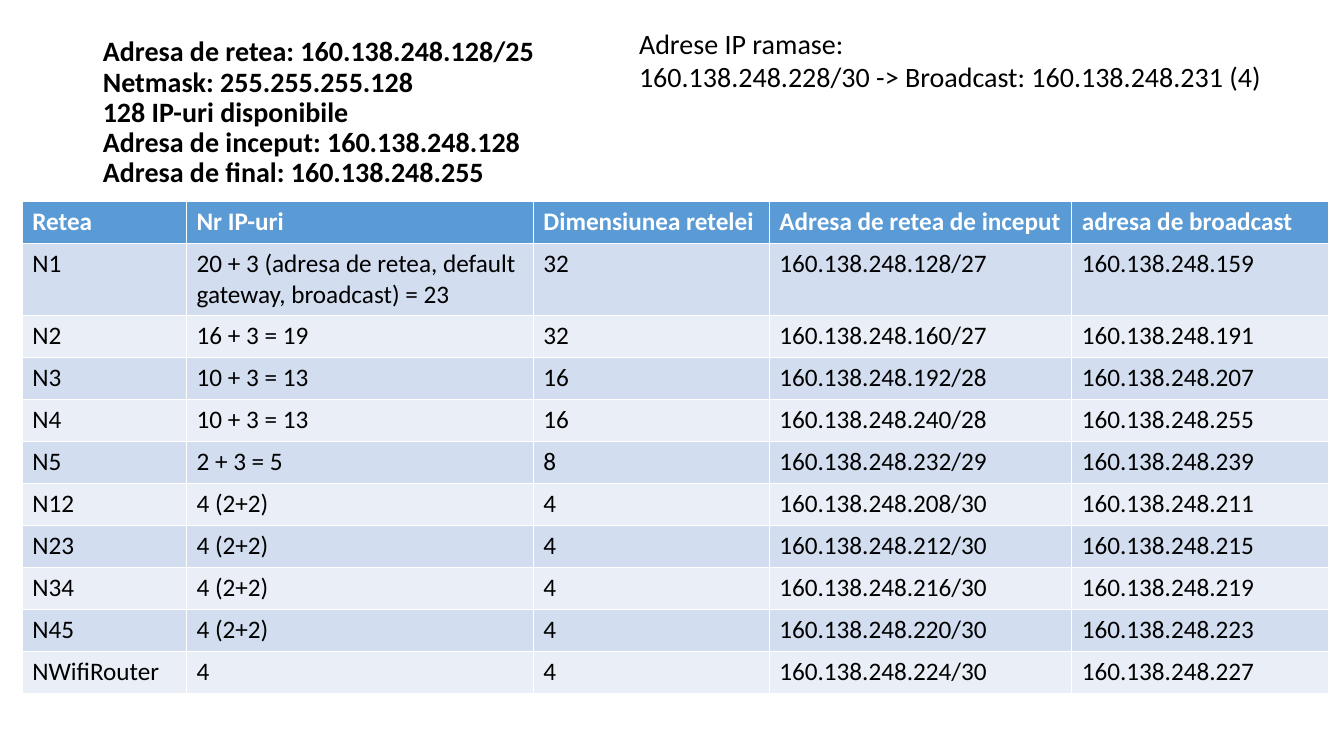
from pptx import Presentation
from pptx.dml.color import RGBColor
from pptx.enum.text import MSO_ANCHOR, MSO_AUTO_SIZE, PP_ALIGN
from pptx.util import Inches, Pt

TITLE_LINES = [
    "Adresa de retea: 160.138.248.128/25",
    "Netmask: 255.255.255.128",
    "128 IP-uri disponibile",
    "Adresa de inceput: 160.138.248.128",
    "Adresa de final: 160.138.248.255",
]
REMAINING_LINES = [
    "Adrese IP ramase:",
    "160.138.248.228/30 -> Broadcast: 160.138.248.231 (4)",
]
HEADINGS = ["Retea", "Nr IP-uri", "Dimensiunea retelei",
            "Adresa de retea de inceput", "adresa de broadcast"]
# Name, needed addresses, block size, first and last host number, prefix
NETWORKS = [
    ("N1", "20 + 3 (adresa de retea, default gateway, broadcast) = 23", 32, 128, 159, 27),
    ("N2", "16 + 3 = 19", 32, 160, 191, 27),
    ("N3", "10 + 3 = 13", 16, 192, 207, 28),
    ("N4", "10 + 3 = 13", 16, 240, 255, 28),
    ("N5", "2 + 3 = 5", 8, 232, 239, 29),
    ("N12", "4 (2+2)", 4, 208, 211, 30),
    ("N23", "4 (2+2)", 4, 212, 215, 30),
    ("N34", "4 (2+2)", 4, 216, 219, 30),
    ("N45", "4 (2+2)", 4, 220, 223, 30),
    ("NWifiRouter", "4", 4, 224, 227, 30),
]
COLUMN_SHARES = [12.23, 25.81, 17.55, 22.51, 19.13]
ROW_SHARE = 5.56


def color(hex_string):
    return RGBColor.from_string(hex_string)


class AddressPage:
    """Holds the style and the slide; lengths are percent of the slide's size."""

    font_name = "Calibri"
    ink, paper = "000000", "FFFFFF"
    header_fill = "5B9BD5"
    band_fills = ["D2DEEF", "EAEFF7"]

    def __init__(self, deck):
        self.deck = deck
        self.page = deck.slides.add_slide(deck.slide_layouts[5])

    def across(self, share):
        return round(self.deck.slide_width * share / 100)

    def down(self, share):
        return round(self.deck.slide_height * share / 100)

    def area(self, left, top, width, height):
        return self.across(left), self.down(top), self.across(width), self.down(height)

    def style(self, para, size, ink=ink, bold=False):
        para.alignment = PP_ALIGN.LEFT
        para.font.name = self.font_name
        para.font.size = Pt(size)
        para.font.bold = bold
        para.font.color.rgb = color(ink)

    def title(self, lines, *shares):
        box = self.page.shapes.title
        box.left, box.top, box.width, box.height = self.area(*shares)
        frame = box.text_frame
        frame.vertical_anchor = MSO_ANCHOR.MIDDLE
        frame.auto_size = MSO_AUTO_SIZE.NONE
        para = frame.paragraphs[0]
        for number, line in enumerate(lines):
            if number:
                para.add_line_break()
            para.add_run().text = line
        para.line_spacing = 0.9
        self.style(para, 20, bold=True)

    def text(self, lines, *shares):
        frame = self.page.shapes.add_textbox(*self.area(*shares)).text_frame
        frame.word_wrap = True
        frame.auto_size = MSO_AUTO_SIZE.SHAPE_TO_FIT_TEXT
        frame.text = "\n".join(lines)
        for para in frame.paragraphs:
            self.style(para, 20)

    def table(self, rows, column_shares, row_share, left, top):
        place = self.area(left, top, sum(column_shares), row_share * len(rows))
        grid = self.page.shapes.add_table(len(rows), len(column_shares), *place).table
        for column, share in zip(grid.columns, column_shares):
            column.width = self.across(share)
        for number, (row, values) in enumerate(zip(grid.rows, rows)):
            row.height = self.down(row_share)
            header = number == 0
            fill = self.header_fill if header else self.band_fills[(number - 1) % 2]
            for cell, value in zip(row.cells, values):
                cell.text = str(value)
                cell.fill.solid()
                cell.fill.fore_color.rgb = color(fill)
                self.style(cell.text_frame.paragraphs[0], 18,
                           self.paper if header else self.ink, header)


def main():
    deck = Presentation()
    deck.slide_width, deck.slide_height = Inches(13.33), Inches(7.5)
    page = AddressPage(deck)

    # Address block and what is left of it
    page.title(TITLE_LINES, 6.9, 5.33, 38.41, 19.33)

    # Subnet table
    rows = [HEADINGS] + [
        (name, needed, size, f"160.138.248.{first}/{prefix}", f"160.138.248.{last}")
        for name, needed, size, first, last, prefix in NETWORKS
    ]
    page.table(rows, COLUMN_SHARES, ROW_SHARE, 1.65, 26.67)

    # Remaining addresses
    page.text(REMAINING_LINES, 46.81, 2.8, 50.04, 10.27)

    deck.save("out.pptx")


if __name__ == "__main__":
    main()
